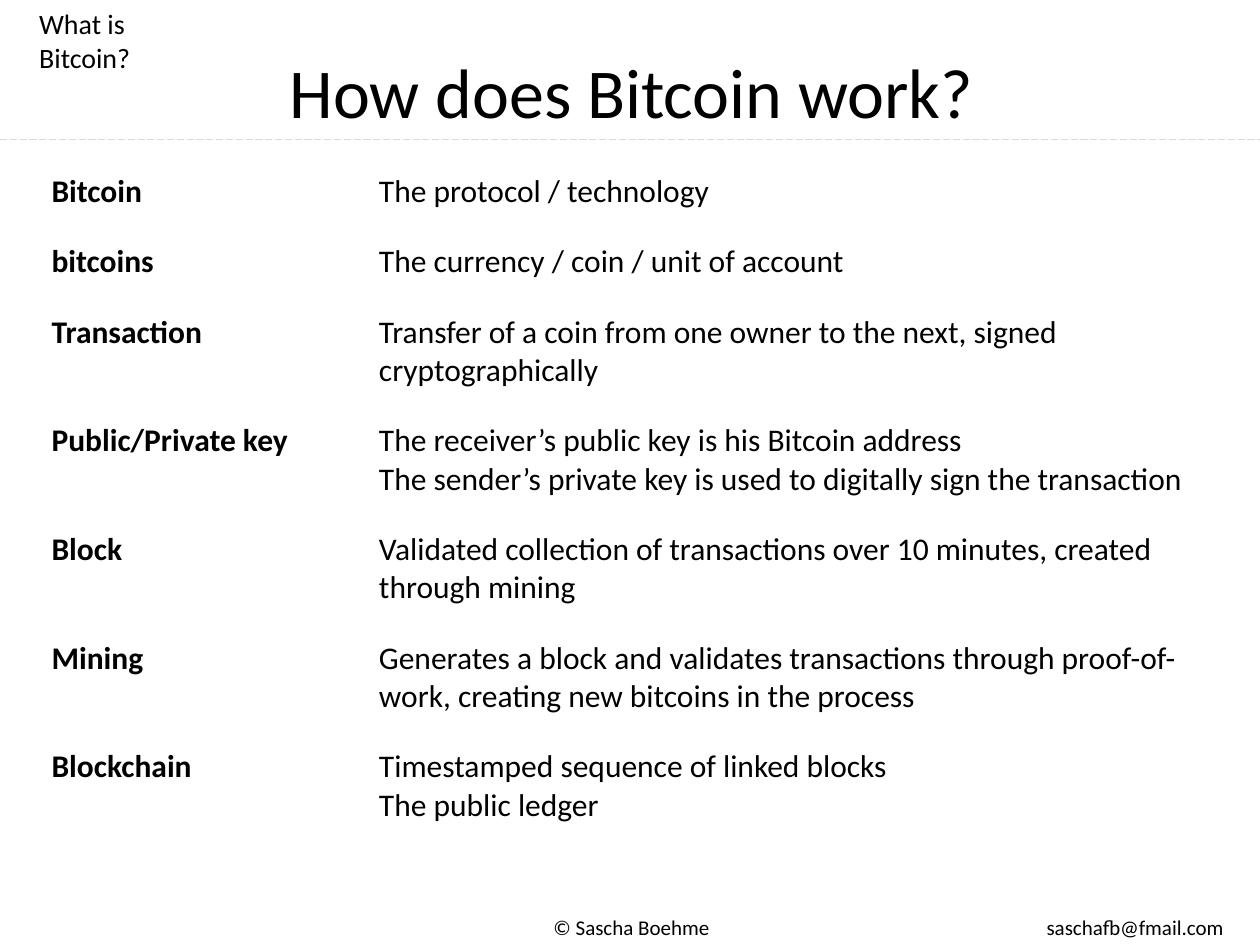
import math
from collections import namedtuple
from dataclasses import dataclass

from lxml import etree
from pptx import Presentation
from pptx import util as u
from pptx.dml.color import RGBColor
from pptx.enum import dml, text
from pptx.oxml import ns

Box = namedtuple("Box", "left top width height")


@dataclass(frozen=True)
class Theme:
    font: str = "Calibri"
    ink: RGBColor = RGBColor(0, 0, 0)
    rule: RGBColor = RGBColor(0xD9, 0xD9, 0xD9)
    title: int = 40
    body: int = 18
    topic: int = 16
    footer: int = 12


THEME = Theme()
LINE_CHARS = 68  # characters that fit on one line of a definition

GLOSSARY = [
    ("Bitcoin", ["The protocol / technology"]),
    ("bitcoins", ["The currency / coin / unit of account"]),
    ("Transaction", ["Transfer of a coin from one owner to the next, signed cryptographically"]),
    ("Public/Private key", ["The receiver’s public key is his Bitcoin address",
                            "The sender’s private key is used to digitally sign the transaction"]),
    ("Block", ["Validated collection of transactions over 10 minutes, created through mining"]),
    ("Mining", ["Generates a block and validates transactions through proof-of-work, "
                "creating new bitcoins in the process"]),
    ("Blockchain", ["Timestamped sequence of linked blocks", "The public ledger"]),
]


def box_cm(left, top, width, height):
    return Box(u.Cm(left), u.Cm(top), u.Cm(width), u.Cm(height))


def place(shape, box):
    shape.left, shape.top, shape.width, shape.height = box


def set_margins(frame, left, top, right, bottom):
    frame.margin_left, frame.margin_top = u.Cm(left), u.Cm(top)
    frame.margin_right, frame.margin_bottom = u.Cm(right), u.Cm(bottom)


def style_text(frame, size, align=text.PP_ALIGN.LEFT, bold=False):
    for para in frame.paragraphs:
        para.alignment = align
        para.space_before = u.Pt(0)
        for span in para.runs:
            span.font.name, span.font.size = THEME.font, u.Pt(size)
            span.font.color.rgb, span.font.bold = THEME.ink, bold


def add_header(page, box):
    """Title with the topic above its left edge and a dashed rule below."""
    title, topic = page.shapes.title, page.placeholders[1]
    topic_height = u.Cm(0.94)

    place(title, Box(box.left, box.top + topic_height, box.width, box.height - topic_height))
    frame = title.text_frame
    frame.text = "How does Bitcoin work?"
    frame.auto_size = text.MSO_AUTO_SIZE.NONE
    frame.vertical_anchor = text.MSO_ANCHOR.MIDDLE
    set_margins(frame, 0, 0, 0, 0.13)
    style_text(frame, THEME.title, text.PP_ALIGN.CENTER)

    place(topic, Box(box.left, box.top, u.Cm(2.72), topic_height))
    frame = topic.text_frame
    frame.text = "What is Bitcoin?"
    frame.word_wrap, frame.auto_size = True, text.MSO_AUTO_SIZE.NONE
    set_margins(frame, 0, 0.13, 0, 0.13)
    properties = frame.paragraphs[0]._p.get_or_add_pPr()
    properties.set("marL", "0")
    properties.set("indent", "0")
    etree.SubElement(properties, ns.qn("a:buNone"))
    style_text(frame, THEME.topic)

    bottom = box.top + box.height
    rule = page.shapes.add_connector(1, 0, bottom, 2 * box.left + box.width, bottom)
    rule.line.color.rgb, rule.line.width = THEME.rule, u.Pt(0.5)
    rule.line.dash_style = dml.MSO_LINE.LONG_DASH
    etree.SubElement(rule._element.spPr, ns.qn("a:effectLst"))


def add_glossary(page, box):
    """Terms in bold on the left, their definitions on the right."""
    table = page.shapes.add_table(len(GLOSSARY), 2, *box).table
    table.first_row = table.horz_banding = False
    term_width = u.Cm(6.6)
    table.columns[0].width, table.columns[1].width = term_width, box.width - term_width

    for row, (term, definition) in zip(table.rows, GLOSSARY):
        lines = sum(math.ceil(len(part) / LINE_CHARS) for part in definition)
        row.height = u.Cm(0.64 + 0.77 * lines)
        for cell, content, bold in zip(row.cells, (term, "\n".join(definition)), (True, False)):
            cell.fill.background()
            set_margins(cell, 0.25, 0.13, 0.25, 0.51)
            cell.text_frame.text = content
            style_text(cell.text_frame, THEME.body, bold=bold)


def add_footer_text(page, box, content, align, right_margin):
    frame = page.shapes.add_textbox(*box).text_frame
    frame.text = content
    frame.word_wrap = False
    set_margins(frame, 0.25, 0.13, right_margin, 0.13)
    style_text(frame, THEME.footer, align)


def add_footer(page, box):
    """Author in the middle and address at the right edge."""
    name_width, address_width = u.Cm(3.78), u.Cm(3.94)
    middle = box.left + (box.width - name_width) // 2
    right = box.left + box.width - address_width
    add_footer_text(page, Box(middle, box.top, name_width, box.height),
                    "© Sascha Boehme", text.PP_ALIGN.CENTER, 0.25)
    add_footer_text(page, Box(right, box.top, address_width, box.height),
                    "saschafb@fmail.com", text.PP_ALIGN.RIGHT, 0)


def main():
    deck = Presentation()
    deck.slide_width, deck.slide_height = u.Cm(25.4), u.Cm(19.05)
    page = deck.slides.add_slide(deck.slide_layouts[1])
    add_header(page, box_cm(0.79, 0, 23.88, 2.82))
    add_glossary(page, box_cm(0.79, 3.35, 23.88, 13.59))
    add_footer(page, box_cm(0.79, 18.31, 23.88, 0.76))
    deck.save("out.pptx")


if __name__ == "__main__":
    main()
